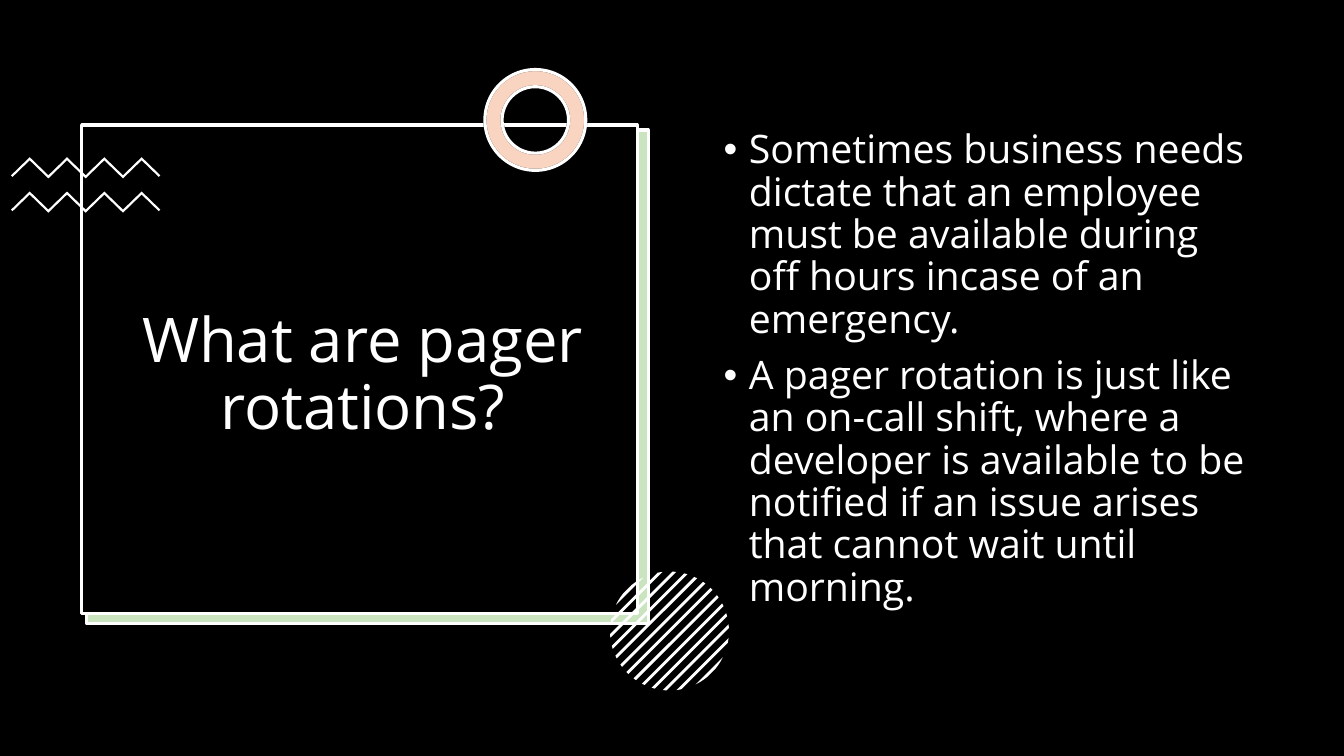
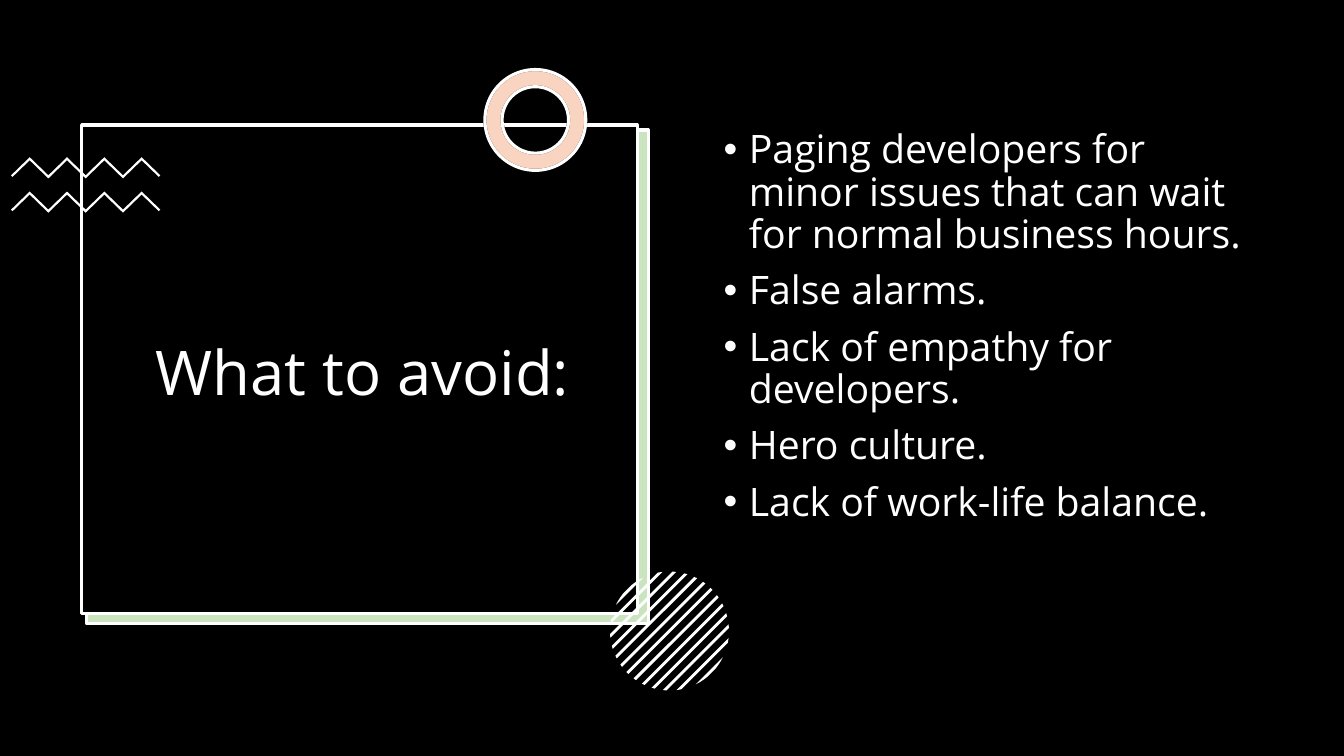
from math import acos, cos, pi, sin, sqrt

from lxml.etree import SubElement
from pptx import Presentation
from pptx.dml.color import RGBColor
from pptx.enum.shapes import MSO_SHAPE
from pptx.enum.text import MSO_ANCHOR, PP_ALIGN
from pptx.oxml.ns import qn
from pptx.util import Pt

PX = 9144  # EMU in one px, 100 px to the inch
FONT = "Open Sans"
BLACK, WHITE, GREEN, ORANGE = "000000", "FFFFFF", "4EA72E", "E97132"

SLIDES = [
    ("What are pager rotations?", [
        "Sometimes business needs dictate that an employee must be available "
        "during off hours incase of an emergency.",
        "A pager rotation is just like an on-call shift, where a developer is "
        "available to be notified if an issue arises that cannot wait until morning.",
    ]),
    ("What to avoid:", [
        "Paging developers for minor issues that can wait for normal business hours.",
        "False alarms.",
        "Lack of empathy for developers.",
        "Hero culture.",
        "Lack of work-life balance.",
    ]),
]


def color(value):
    return RGBColor.from_string(value)


def emu(*lengths):
    return [round(length * PX) for length in lengths]


class Deck:
    """Holds the style and the current page."""

    def __init__(self):
        self.deck = Presentation()
        self.deck.slide_width, self.deck.slide_height = emu(1333, 750)
        self.page = None

    def add_page(self):
        self.page = self.deck.slides.add_slide(self.deck.slide_layouts[6])
        background = self.page.background.fill
        background.solid()
        background.fore_color.rgb = color(BLACK)

    def paint(self, shape, fill, line=None, opacity=100):
        shape.shadow.inherit = False
        shape.fill.solid()
        shape.fill.fore_color.rgb = color(fill)
        if opacity < 100:
            solid = shape._element.spPr.find(qn("a:solidFill"))
            SubElement(solid[0], qn("a:alpha"), val=str(opacity * 1000))
        if line:
            shape.line.color.rgb = color(line)
            shape.line.width = Pt(2.25)
        else:
            shape.line.fill.background()

    def preset(self, kind, at, fill, line=None, opacity=100):
        shape = self.page.shapes.add_shape(kind, *emu(*at))
        self.paint(shape, fill, line, opacity)
        return shape

    def outline(self, points, fill):
        start, *others = [emu(*point) for point in points]
        builder = self.page.shapes.build_freeform(*start, scale=1.0)
        builder.add_line_segments(others, close=True)
        self.paint(builder.convert_to_shape(), fill)

    def zigzag(self, left, top, width, height, teeth, stroke):
        count = 2 * teeth
        upper = [(left + width * i / count, top + height * (1 - i % 2))
                 for i in range(count + 1)]
        lower = [(x, y + stroke) for x, y in upper[1:-1]]
        # Square ends, cut across the stroke
        half = stroke / 2
        first = (upper[0][0] + half, upper[0][1] + half)
        last = (upper[-1][0] - half, upper[-1][1] + half)
        self.outline(upper + [last] + lower[::-1] + [first], WHITE)

    def striped_circle(self, center_x, center_y, radius, reach, gaps, stroke):
        """Diagonal stripes cut by a circle; reach and stroke run along x."""
        steps = 8
        for i in range(gaps + 1):
            middle = reach * (2 * i / gaps - 1)
            angles = [acos((middle + stroke * (j / steps - 0.5)) / sqrt(2) / radius)
                      for j in range(steps + 1)]
            turns = [pi / 4 + a for a in angles] + [pi / 4 - a for a in angles[::-1]]
            self.outline([(center_x + radius * cos(t), center_y + radius * sin(t))
                          for t in turns], WHITE)

    def text(self, at, lines, size, align=PP_ALIGN.LEFT, anchor=MSO_ANCHOR.TOP,
             bullets=False):
        box = self.page.shapes.add_textbox(*emu(*at))
        frame = box.text_frame
        frame.word_wrap = True
        frame.vertical_anchor = anchor
        for i, line in enumerate(lines):
            para = frame.add_paragraph() if i else frame.paragraphs[0]
            para.alignment = align
            para.line_spacing = 0.9
            if bullets:
                self.bullet(para)
            span = para.add_run()
            span.text = line
            span.font.name = FONT
            span.font.size = Pt(size)
            span.font.color.rgb = color(WHITE)

    def bullet(self, para):
        para.space_before = Pt(10)
        properties = para._p.get_or_add_pPr()
        indent, = emu(25)
        properties.set("marL", str(indent))
        properties.set("indent", str(-indent))
        SubElement(properties, qn("a:buFont"), typeface="Arial")
        SubElement(properties, qn("a:buChar"), char="•")

    def decoration(self):
        # Title card with its green offset
        card = MSO_SHAPE.RECTANGLE
        self.preset(card, (85, 130, 557, 490), WHITE)
        self.preset(card, (86, 129, 557, 490), GREEN, WHITE, opacity=30)
        self.preset(card, (81, 124, 551, 485), BLACK, WHITE)
        # Two zigzags
        for top in (156, 190):
            self.zigzag(11, top, 148, 18, teeth=4, stroke=3)
        # Ring: a white base under a see-through tint
        for fill, line, opacity in ((WHITE, BLACK, 100), (ORANGE, WHITE, 30)):
            ring = self.preset(MSO_SHAPE.DONUT, (481, 69, 100, 100), fill, line, opacity)
            ring.adjustments[0] = 0.17
        # Striped circle
        self.striped_circle(664, 626, radius=59, reach=81, gaps=12, stroke=4)

    def topic(self, title, points):
        self.add_page()
        self.decoration()
        self.text((92, 152, 536, 442), [title], 44, PP_ALIGN.CENTER, MSO_ANCHOR.MIDDLE)
        self.text((708, 124, 544, 476), points, 28, bullets=True)


def main():
    deck = Deck()
    for title, points in SLIDES:
        deck.topic(title, points)
    deck.deck.save("out.pptx")


if __name__ == "__main__":
    main()
